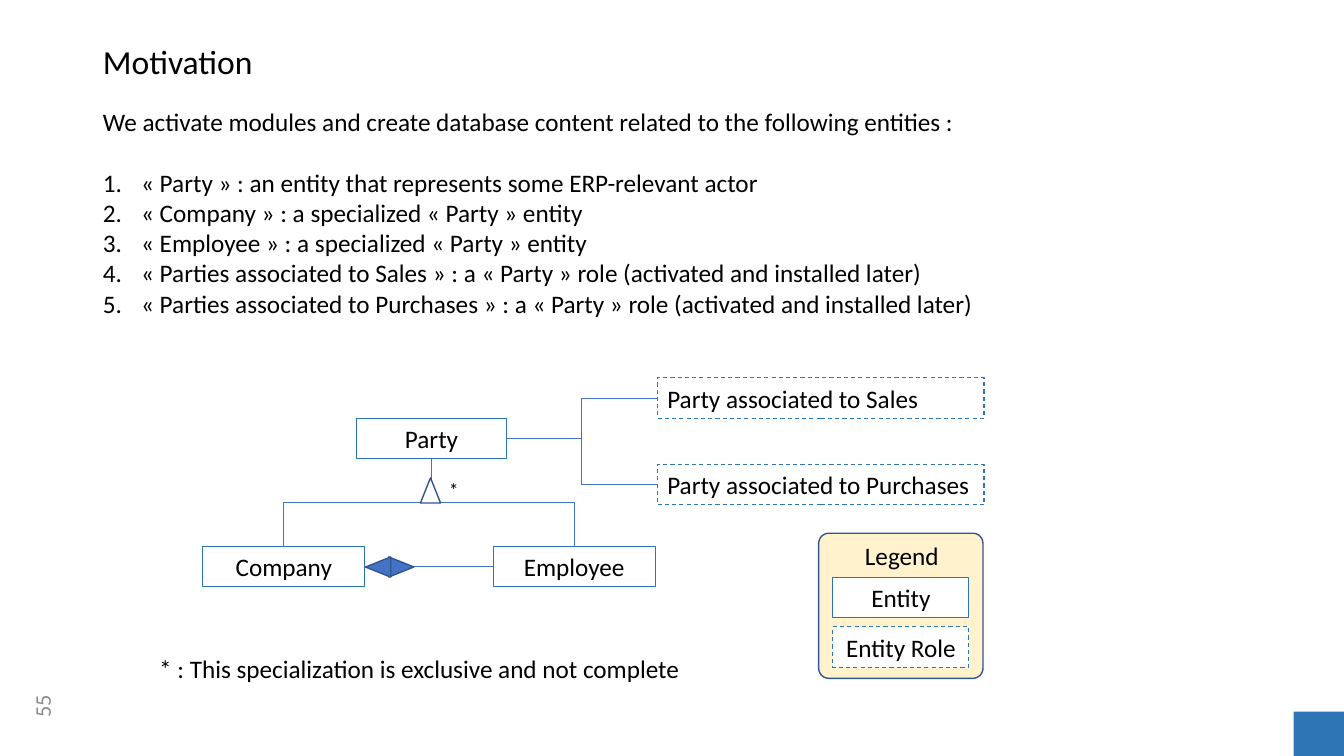
from lxml.etree import SubElement
from pptx import Presentation
from pptx.dml.color import RGBColor
from pptx.enum.dml import MSO_LINE
from pptx.enum.shapes import MSO_CONNECTOR, MSO_SHAPE
from pptx.enum.text import MSO_ANCHOR, MSO_AUTO_SIZE, PP_ALIGN
from pptx.oxml.ns import qn
from pptx.util import Inches, Pt

# Content
TITLE = "Motivation"
INTRO = "We activate modules and create database content related to the following entities :"
ENTITIES = [
    "« Party » : an entity that represents some ERP-relevant actor",
    "« Company » : a specialized « Party » entity",
    "« Employee » : a specialized « Party » entity",
    "« Parties associated to Sales » : a « Party » role (activated and installed later)",
    "« Parties associated to Purchases » : a « Party » role (activated and installed later)",
]
BOX_HEIGHT = 0.4
# label: left, top, width, dashed, alignment
DIAGRAM = {
    "Party": (3.54, 4.15, 1.48, False, PP_ALIGN.CENTER),
    "Employee": (4.89, 5.42, 1.61, False, PP_ALIGN.CENTER),
    "Company": (2.01, 5.42, 1.61, False, PP_ALIGN.CENTER),
    "Party associated to Sales": (6.52, 3.75, 3.24, True, PP_ALIGN.LEFT),
    "Party associated to Purchases": (6.52, 4.61, 3.24, True, PP_ALIGN.LEFT),
}
LEGEND = {
    "Entity": (8.26, 5.73, 1.35, False, PP_ALIGN.CENTER),
    "Entity Role": (8.26, 6.22, 1.35, True, PP_ALIGN.CENTER),
}
# text, left, top, width, height, size, colour, alignment, rotation
NOTES = [
    ("55", 0.04, 6.81, 0.75, 0.4, 16, "8C8C8C", PP_ALIGN.CENTER, 270),
    ("*", 4.31, 4.69, 0.38, 0.34, 14, "000000", PP_ALIGN.CENTER, 0),
    ("* : This specialization is exclusive and not complete",
     1.48, 6.43, 8.59, 0.4, 18, "000000", PP_ALIGN.LEFT, 0),
]
BORDER, DARK, BLUE, ACCENT = "2E75B6", "325491", "4472C4", "2E75B6"

deck = Presentation()
deck.slide_width, deck.slide_height = Inches(13.33), Inches(7.5)
page = deck.slides.add_slide(deck.slide_layouts[1])


def colour(value):
    return RGBColor.from_string(value)


def place(shape, left, top, width, height):
    shape.left, shape.top = Inches(left), Inches(top)
    shape.width, shape.height = Inches(width), Inches(height)


def format_para(para, size=18, ink="000000", align=PP_ALIGN.LEFT):
    para.alignment = align
    for span in para.runs:
        span.font.name, span.font.size = "Calibri", Pt(size)
        span.font.color.rgb = colour(ink)


def add_shape(kind, left, top, width, height, fill=None, line=None, weight=1):
    shape = page.shapes.add_shape(
        kind, Inches(left), Inches(top), Inches(width), Inches(height))
    shape.shadow.inherit = False
    if fill:
        shape.fill.solid()
        shape.fill.fore_color.rgb = colour(fill)
    else:
        shape.fill.background()
    if line:
        shape.line.color.rgb = colour(line)
        shape.line.width = Pt(weight)
    else:
        shape.line.fill.background()
    return shape


def add_entity(label, left, top, width, dashed, align, fill=None):
    box = add_shape(MSO_SHAPE.RECTANGLE, left, top, width, BOX_HEIGHT, fill, BORDER, 0.75)
    if dashed:
        box.line.dash_style = MSO_LINE.DASH
    box.text_frame.text = label
    format_para(box.text_frame.paragraphs[0], align=align)
    return box


def add_note(text, left, top, width, height, size, ink, align, rotation):
    box = page.shapes.add_textbox(Inches(left), Inches(top), Inches(width), Inches(height))
    box.rotation = rotation
    box.text_frame.word_wrap = True
    box.text_frame.vertical_anchor = MSO_ANCHOR.MIDDLE if rotation else MSO_ANCHOR.TOP
    box.text_frame.text = text
    format_para(box.text_frame.paragraphs[0], size, ink, align)


def join(kind, start, start_side, end, end_side):
    link = page.shapes.add_connector(kind, 0, 0, 0, 0)
    link.begin_connect(start, start_side)
    link.end_connect(end, end_side)
    link.line.color.rgb = colour(BLUE)
    link.line.width = Pt(0.5)
    SubElement(link._element.spPr, qn("a:effectLst"))
    return link


def join_down(parent, child):
    """Elbow that leaves the parent downwards: a quarter-turned frame."""
    link = join(MSO_CONNECTOR.ELBOW, parent, 2, child, 0)
    to_left = link.end_x < link.begin_x
    middle_x, middle_y = link.left + link.width // 2, link.top + link.height // 2
    span, drop = link.width, link.height
    link.left, link.top = middle_x - drop // 2, middle_y - span // 2
    link.width, link.height = drop, span
    frame = link._element.spPr.find(qn("a:xfrm"))
    frame.set("rot", str((90 if to_left else 270) * 60000))
    frame.set("flipH", "0" if to_left else "1")


# Title
title = page.shapes.title
place(title, 0.92, 0.4, 11.5, 0.51)
title.text_frame.text = TITLE
title.text_frame.vertical_anchor = MSO_ANCHOR.TOP
title.text_frame.auto_size = MSO_AUTO_SIZE.NONE
title.text_frame.paragraphs[0].line_spacing = 0.9
format_para(title.text_frame.paragraphs[0], 24)

# Introduction and numbered list
body = page.placeholders[1]
place(body, 0.92, 1, 11.74, 2.22)
body.text_frame.text = "\n".join([INTRO] + ENTITIES)
body.text_frame.auto_size = MSO_AUTO_SIZE.NONE
for index, para in enumerate(body.text_frame.paragraphs):
    properties = para._p.get_or_add_pPr()
    indent = Inches(0.38) if index else 0
    properties.set("marL", str(indent))
    properties.set("indent", str(-indent))
    if index:
        SubElement(properties, qn("a:buFont"), typeface="+mj-lt")
        SubElement(properties, qn("a:buAutoNum"), type="arabicPeriod")
    else:
        SubElement(properties, qn("a:buNone"))
    para.space_before = Pt(22 if index == 1 else 0)
    format_para(para)

# Entities and their links
boxes = {label: add_entity(label, *layout) for label, layout in DIAGRAM.items()}
party, company, employee = boxes["Party"], boxes["Company"], boxes["Employee"]
for role in ("Party associated to Sales", "Party associated to Purchases"):
    join(MSO_CONNECTOR.ELBOW, party, 3, boxes[role], 1)
for child in (company, employee):
    join_down(party, child)
join(MSO_CONNECTOR.STRAIGHT, company, 3, employee, 1)

# Specialization triangle and association diamond
for left, top, rotation, fill in (
        (4.17, 4.74, 0, "FFFFFF"), (3.88, 5.5, 90, BLUE), (3.65, 5.5, 270, BLUE)):
    triangle = add_shape(MSO_SHAPE.ISOSCELES_TRIANGLE, left, top, 0.2, 0.25, fill, DARK)
    triangle.rotation = rotation

# Corner block, page number and remarks
add_shape(MSO_SHAPE.RECTANGLE, 12.83, 7.06, 0.5, 0.44, ACCENT)
for note in NOTES:
    add_note(*note)

# Legend
panel = add_shape(MSO_SHAPE.ROUNDED_RECTANGLE, 8.12, 5.29, 1.63, 1.44, "FFF2CC", DARK)
panel.adjustments[0] = 0.07
for label, layout in LEGEND.items():
    add_entity(label, *layout, fill="FFFFFF")
add_note("Legend", 8.46, 5.31, 0.97, 0.4, 18, "000000", PP_ALIGN.CENTER, 0)

deck.save("out.pptx")
